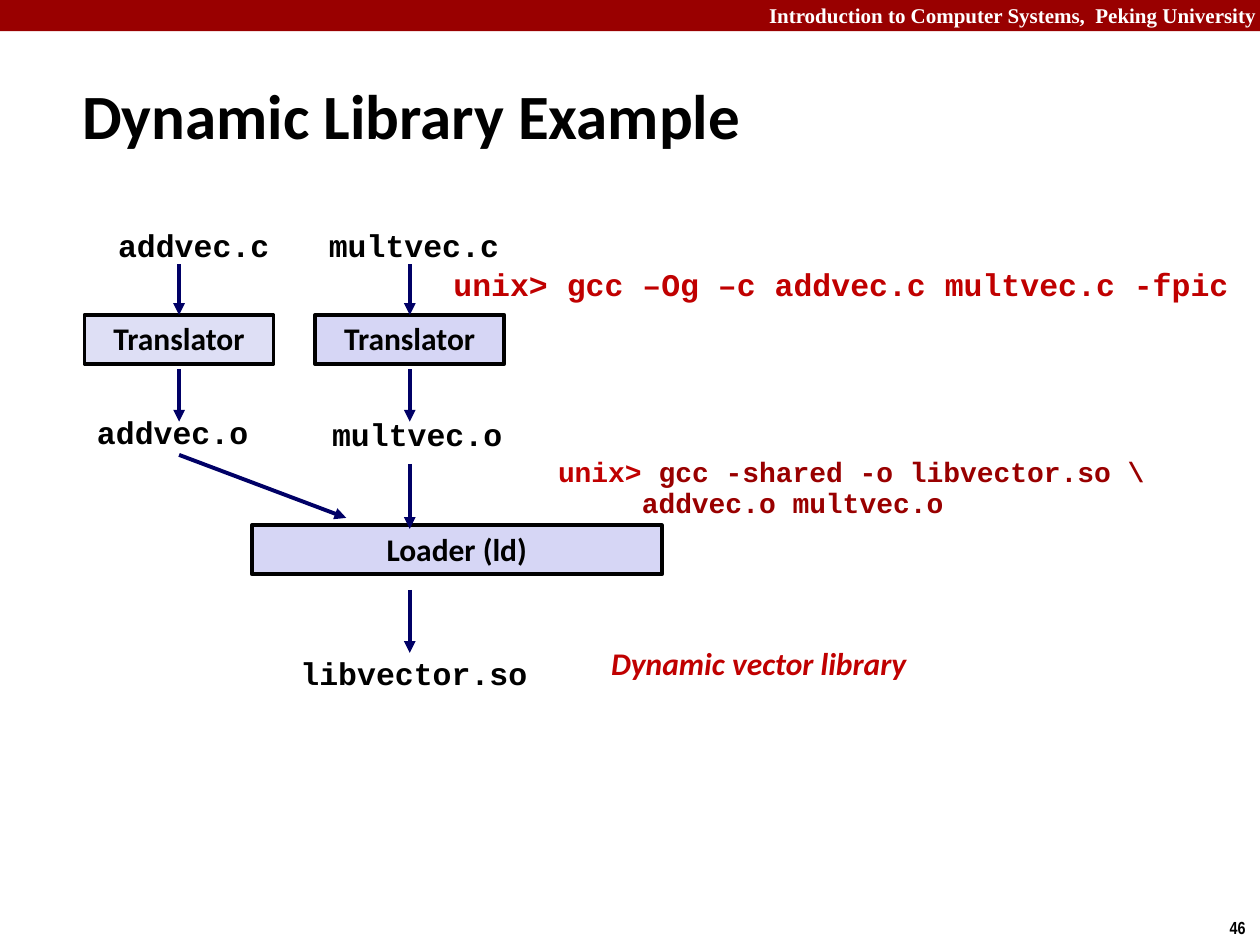
from dataclasses import dataclass
from typing import Optional

from lxml.etree import SubElement
from pptx import Presentation
from pptx.dml.color import RGBColor
from pptx.enum.shapes import MSO_CONNECTOR, MSO_SHAPE
from pptx.enum.text import MSO_ANCHOR, PP_ALIGN
from pptx.oxml.ns import qn
from pptx.util import Cm, Pt

BLACK, WHITE, NAVY = "000000", "FFFFFF", "000066"
BANNER_RED, COMMAND_RED = "990000", "C00000"
LAVENDER, PALE_LAVENDER = "D6D6F5", "DEDFF5"
SANS, MONO = "Calibri", "Courier New"
LEFT, CENTER, RIGHT = PP_ALIGN.LEFT, PP_ALIGN.CENTER, PP_ALIGN.RIGHT

# Column centres and shared row positions, in cm
ADD_X, MULT_X = 3.61, 8.26
TRANSLATOR_TOP, LOADER_TOP, STEP_HEIGHT = 6.35, 10.59, 0.99


@dataclass
class Label:
    """Text placed at a position in cm; each line is a list of (text, colour)."""
    lines: list
    left: float
    top: float
    width: float
    height: float
    size: float = 18
    font: str = MONO
    align: PP_ALIGN = LEFT
    spacing: float = 0.94
    italic: bool = False
    wrap: bool = False


@dataclass
class Step:
    """A processing box, centred on center_x."""
    text: str
    center_x: float
    top: float
    width: float
    fill: str


@dataclass
class Arrow:
    """An arrow between two points in cm, optionally joined to a step's top."""
    start: tuple
    end: tuple
    target: Optional[int] = None


def color(hex_string: str) -> RGBColor:
    return RGBColor.from_string(hex_string)


def style(paragraph, size, font, hex_color, align=LEFT, spacing=1.0, italic=False):
    paragraph.alignment = align
    paragraph.line_spacing = spacing
    paragraph.font.size = Pt(size)
    paragraph.font.name = font
    paragraph.font.bold = True
    paragraph.font.italic = italic
    paragraph.font.color.rgb = color(hex_color)


def draw_label(slide, label: Label) -> None:
    box = slide.shapes.add_textbox(
        Cm(label.left), Cm(label.top), Cm(label.width), Cm(label.height))
    frame = box.text_frame
    frame.word_wrap = label.wrap
    for index, line in enumerate(label.lines):
        paragraph = frame.paragraphs[0] if index == 0 else frame.add_paragraph()
        style(paragraph, label.size, label.font, line[0][1],
              label.align, label.spacing, label.italic)
        for text, hex_color in line:
            run = paragraph.add_run()
            run.text = text
            if hex_color != line[0][1]:
                run.font.color.rgb = color(hex_color)


def draw_step(slide, step: Step):
    box = slide.shapes.add_shape(
        MSO_SHAPE.RECTANGLE, Cm(step.center_x - step.width / 2), Cm(step.top),
        Cm(step.width), Cm(STEP_HEIGHT))
    box.shadow.inherit = False
    box.fill.solid()
    box.fill.fore_color.rgb = color(step.fill)
    box.line.color.rgb = color(BLACK)
    box.line.width = Pt(2.25)
    frame = box.text_frame
    frame.word_wrap = True
    frame.vertical_anchor = MSO_ANCHOR.TOP
    frame.text = step.text
    style(frame.paragraphs[0], 18, SANS, BLACK, CENTER, 0.98)
    return box


def draw_arrow(slide, arrow: Arrow, boxes: list) -> None:
    ends = [Cm(value) for value in (*arrow.start, *arrow.end)]
    line = slide.shapes.add_connector(MSO_CONNECTOR.STRAIGHT, *ends)
    if arrow.target is not None:
        line.end_connect(boxes[arrow.target], 0)
    line.line.color.rgb = color(NAVY)
    line.line.width = Pt(2.25)
    SubElement(line.line._get_or_add_ln(), qn("a:tailEnd"), type="triangle")
    SubElement(line._element.spPr, qn("a:effectLst"))


def draw_banner(slide, width) -> None:
    banner = slide.shapes.add_shape(MSO_SHAPE.RECTANGLE, 0, 0, width, Cm(0.63))
    banner.shadow.inherit = False
    banner.fill.solid()
    banner.fill.fore_color.rgb = color(BANNER_RED)
    banner.line.fill.background()


def draw_title(slide) -> None:
    title = slide.shapes.title
    title.left, title.top, title.width, title.height = (
        Cm(1.4), Cm(1.22), Cm(24.2), Cm(2.18))
    title.text_frame.text = "Dynamic Library Example"
    title.text_frame.vertical_anchor = MSO_ANCHOR.MIDDLE
    style(title.text_frame.paragraphs[0], 36, SANS, BLACK)


STEPS = [
    Step("Translator", ADD_X, TRANSLATOR_TOP, 3.81, PALE_LAVENDER),
    Step("Translator", MULT_X, TRANSLATOR_TOP, 3.81, LAVENDER),
    Step("Loader (ld)", 9.21, LOADER_TOP, 8.26, LAVENDER),
]

# Source to translator and translator to object file, for each column
ARROWS = [
    arrow
    for index, x in enumerate((ADD_X, MULT_X))
    for arrow in (Arrow((x, 5.33), (x, TRANSLATOR_TOP), index),
                  Arrow((x, 7.44), (x, 8.5)))
] + [
    Arrow((ADD_X, 9.17), (6.98, 10.44)),
    Arrow((MULT_X, 9.35), (MULT_X, 10.66)),
    Arrow((MULT_X, 11.89), (MULT_X, 13.16)),
]

LABELS = [
    # Banner and page number
    Label([[("Introduction to Computer Systems,  Peking University", WHITE)]],
          15.24, -0.08, 10.34, 0.76, 12, "Times New Roman", RIGHT, 1.0, wrap=True),
    Label([[("46", BLACK)]], 24.54, 18.36, 0.86, 0.69, 10, "Arial Narrow",
          spacing=1.0),
    # Files
    Label([[("addvec.c", BLACK)]], 2.13, 4.5, 3.56, 0.99),
    Label([[("multvec.c", BLACK)]], 6.38, 4.5, 3.96, 0.99),
    Label([[("addvec.o", BLACK)]], 1.7, 8.26, 3.56, 0.99, align=CENTER),
    Label([[("multvec.o", BLACK)]], 6.43, 8.31, 3.96, 0.99, align=CENTER),
    Label([[("libvector.so", BLACK)]], 5.77, 13.13, 5.11, 0.99, align=RIGHT),
    # Commands and result
    Label([[("unix> gcc –Og –c addvec.c multvec.c -fpic", COMMAND_RED)]],
          8.89, 5.28, 16.31, 0.99, wrap=True),
    Label([[("unix> ", COMMAND_RED),
            ("gcc -shared -o libvector.so \\", BANNER_RED)],
           [("     addvec.o multvec.o", BANNER_RED)]],
          11, 9.09, 12.5, 1.55, 16),
    Label([[("Dynamic vector library", COMMAND_RED)]],
          12.07, 12.9, 8.26, 1.02, font=SANS, spacing=0.98, italic=True, wrap=True),
]


def main() -> None:
    presentation = Presentation()
    presentation.slide_width, presentation.slide_height = Cm(25.4), Cm(19.05)
    slide = presentation.slides.add_slide(presentation.slide_layouts[5])

    draw_banner(slide, presentation.slide_width)
    draw_title(slide)
    boxes = [draw_step(slide, step) for step in STEPS]
    for arrow in ARROWS:
        draw_arrow(slide, arrow, boxes)
    for label in LABELS:
        draw_label(slide, label)

    presentation.save("out.pptx")


if __name__ == "__main__":
    main()
